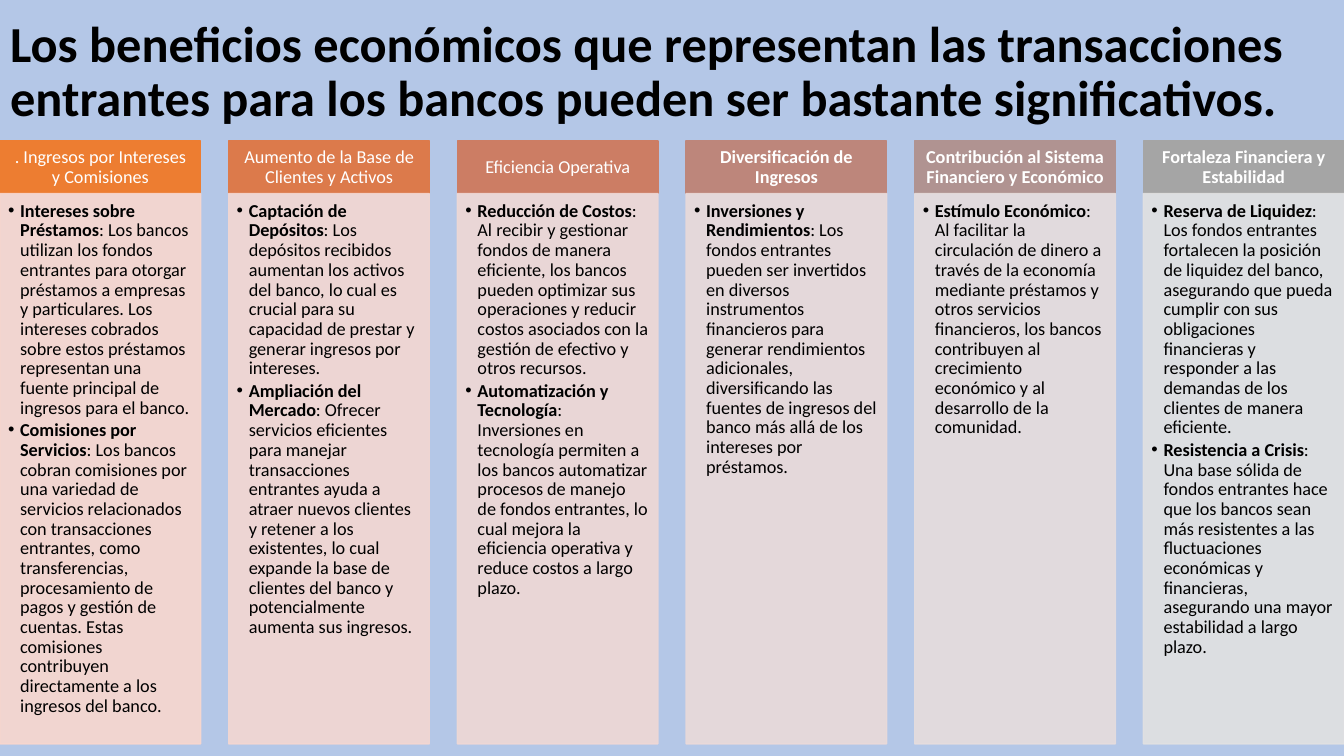
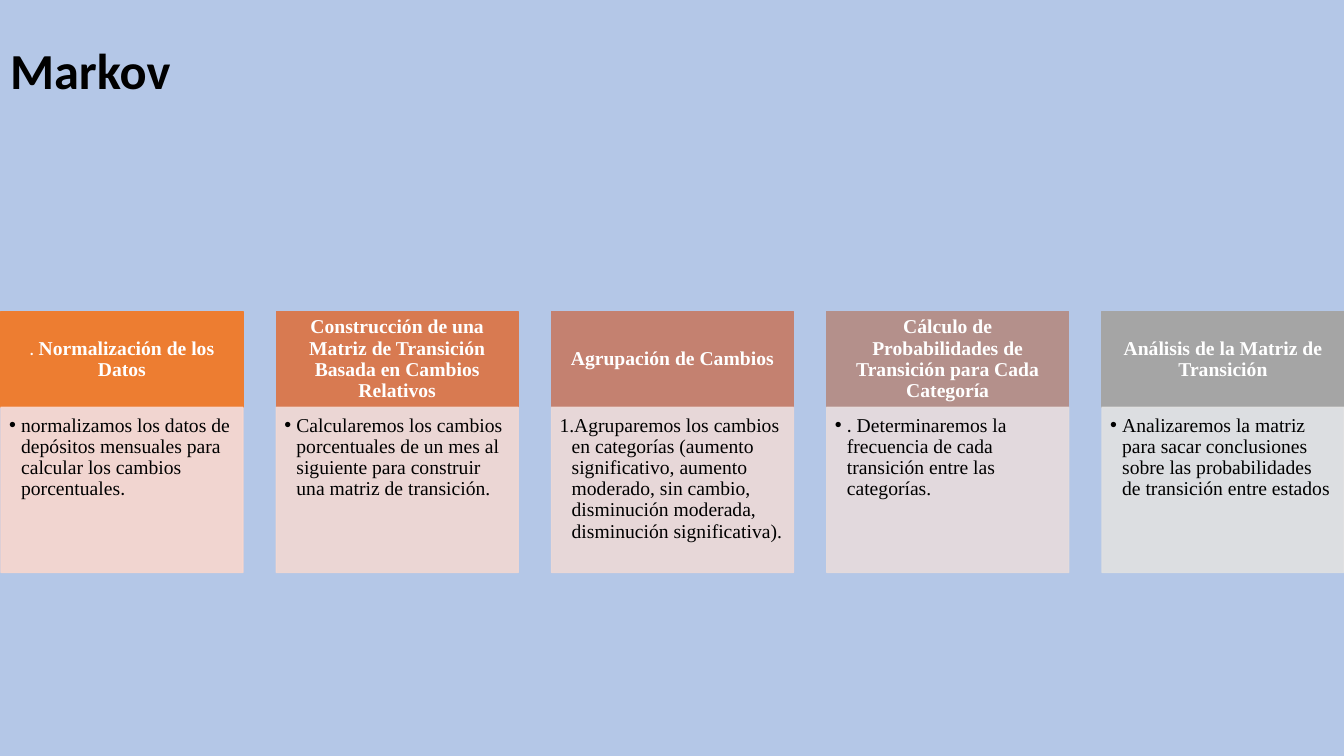
from dataclasses import dataclass

from lxml.etree import SubElement
from pptx import Presentation
from pptx.dml.color import RGBColor
from pptx.enum.shapes import MSO_SHAPE
from pptx.enum.text import MSO_ANCHOR, MSO_AUTO_SIZE, PP_ALIGN
from pptx.oxml.ns import qn
from pptx.util import Inches, Pt

SLIDE_WIDTH, SLIDE_HEIGHT = 13.33, 7.5
TITLE_ONLY = 5
SANS, SERIF = "Calibri", "Times New Roman"


@dataclass(frozen=True)
class Theme:
    background: str = "B4C7E7"
    dark: str = "000000"
    light: str = "FFFFFF"
    title_size: int = 36
    panel_opacity: int = 90
    line_spacing: float = 0.9
    paragraph_gap: int = 2
    bullet_indent: float = 0.12


@dataclass(frozen=True)
class Span:
    text: str
    bold: bool = False
    font: str = SANS


@dataclass(frozen=True)
class Column:
    header_color: str
    panel_color: str
    header: list
    items: list
    numbered: bool = False


@dataclass(frozen=True)
class Grid:
    """Equal columns spread from the left margin to the right edge."""
    left: float
    top: float
    column_width: float
    header_height: float
    panel_height: float
    text_size: int
    header_insets: tuple
    panel_insets: tuple

    def column_left(self, index, count):
        pitch = (SLIDE_WIDTH - self.left - self.column_width) / (count - 1)
        return self.left + index * pitch


class Deck:
    def __init__(self, theme):
        self.theme = theme
        self.slide = None
        self.presentation = Presentation()
        self.presentation.slide_width = Inches(SLIDE_WIDTH)
        self.presentation.slide_height = Inches(SLIDE_HEIGHT)
        fill = self.presentation.slide_master.background.fill
        fill.solid()
        fill.fore_color.rgb = RGBColor.from_string(theme.background)

    def add_slide(self, title):
        layout = self.presentation.slide_layouts[TITLE_ONLY]
        self.slide = self.presentation.slides.add_slide(layout)
        placeholder = self.slide.shapes.title
        placeholder.left = placeholder.top = 0
        placeholder.width, placeholder.height = Inches(SLIDE_WIDTH), Inches(1.45)
        frame = placeholder.text_frame
        frame.auto_size = MSO_AUTO_SIZE.NONE
        frame.vertical_anchor = MSO_ANCHOR.MIDDLE
        self.add_spans(frame.paragraphs[0], [Span(title, True)],
                       self.theme.title_size, self.theme.dark)

    def add_spans(self, paragraph, spans, size, color, align=PP_ALIGN.LEFT):
        paragraph.alignment = align
        paragraph.line_spacing = self.theme.line_spacing
        for span in spans:
            run = paragraph.add_run()
            run.text = span.text
            run.font.name = span.font
            run.font.size = Pt(size)
            run.font.bold = span.bold
            run.font.color.rgb = RGBColor.from_string(color)

    def box(self, left, top, width, height, color, insets, anchor, opacity=100):
        shape = self.slide.shapes.add_shape(
            MSO_SHAPE.RECTANGLE, *map(Inches, (left, top, width, height)))
        shape.shadow.inherit = False
        shape.fill.solid()
        shape.line.width = Pt(1)
        for paint in (shape.fill.fore_color, shape.line.color):
            paint.rgb = RGBColor.from_string(color)
        if opacity < 100:
            for paint in list(shape._element.spPr.iter(qn("a:srgbClr"))):
                SubElement(paint, qn("a:alpha"), val=str(opacity * 1000))
        frame = shape.text_frame
        frame.word_wrap = True
        frame.vertical_anchor = anchor
        (frame.margin_left, frame.margin_top,
         frame.margin_right, frame.margin_bottom) = map(Inches, insets)
        return frame

    def bullet(self, paragraph, numbered):
        paragraph.space_after = Pt(self.theme.paragraph_gap)
        properties = paragraph._p.get_or_add_pPr()
        indent = Inches(self.theme.bullet_indent)
        properties.set("marL", str(indent))
        properties.set("indent", str(-indent))
        if numbered:
            SubElement(properties, qn("a:buAutoNum"), type="arabicPeriod")
        else:
            SubElement(properties, qn("a:buFont"), typeface="Arial")
            SubElement(properties, qn("a:buChar"), char="•")

    def columns(self, grid, columns):
        for index, column in enumerate(columns):
            left = grid.column_left(index, len(columns))
            # Header band
            header = self.box(left, grid.top, grid.column_width, grid.header_height,
                              column.header_color, grid.header_insets,
                              MSO_ANCHOR.MIDDLE)
            self.add_spans(header.paragraphs[0], column.header, grid.text_size,
                           self.theme.light, PP_ALIGN.CENTER)
            # Panel with its list
            panel = self.box(left, grid.top + grid.header_height,
                             grid.column_width, grid.panel_height,
                             column.panel_color, grid.panel_insets,
                             MSO_ANCHOR.TOP, self.theme.panel_opacity)
            for position, spans in enumerate(column.items):
                paragraph = panel.add_paragraph() if position else panel.paragraphs[0]
                self.add_spans(paragraph, spans, grid.text_size, self.theme.dark)
                self.bullet(paragraph, column.numbered)


def labelled(label, text):
    return [Span(label, True), Span(": " + text)]


def serif(text, bold=False):
    return Span(text, bold, SERIF)


BENEFITS_GRID = Grid(0, 1.4, 1.99, 0.52, 5.46, 13,
                     (0.1, 0.06, 0.1, 0.06), (0.08, 0.08, 0.1, 0.11))
MARKOV_GRID = Grid(0.01, 3.09, 2.4, 0.95, 1.64, 14,
                   (0.11, 0.06, 0.11, 0.06), (0.08, 0.08, 0.11, 0.12))

BENEFITS = [
    Column("ED7D31", "F8D7CE", [Span(". Ingresos por Intereses y Comisiones")], [
        labelled("Intereses sobre Préstamos",
                 "Los bancos utilizan los fondos entrantes para otorgar préstamos a "
                 "empresas y particulares. Los intereses cobrados sobre estos préstamos "
                 "representan una fuente principal de ingresos para el banco."),
        labelled("Comisiones por Servicios",
                 "Los bancos cobran comisiones por una variedad de servicios "
                 "relacionados con transacciones entrantes, como transferencias, "
                 "procesamiento de pagos y gestión de cuentas. Estas comisiones "
                 "contribuyen directamente a los ingresos del banco.")]),
    Column("DC7A4B", "F4D7D1", [Span("Aumento de la Base de Clientes y Activos")], [
        labelled("Captación de Depósitos",
                 "Los depósitos recibidos aumentan los activos del banco, lo cual es "
                 "crucial para su capacidad de prestar y generar ingresos por intereses."),
        labelled("Ampliación del Mercado",
                 "Ofrecer servicios eficientes para manejar transacciones entrantes "
                 "ayuda a atraer nuevos clientes y retener a los existentes, lo cual "
                 "expande la base de clientes del banco y potencialmente aumenta sus "
                 "ingresos.")]),
    Column("CC7D64", "EFD8D5", [Span("Eficiencia Operativa")], [
        labelled("Reducción de Costos",
                 "Al recibir y gestionar fondos de manera eficiente, los bancos pueden "
                 "optimizar sus operaciones y reducir costos asociados con la gestión "
                 "de efectivo y otros recursos."),
        labelled("Automatización y Tecnología",
                 "Inversiones en tecnología permiten a los bancos automatizar procesos "
                 "de manejo de fondos entrantes, lo cual mejora la eficiencia operativa "
                 "y reduce costos a largo plazo.")]),
    Column("BD867B", "EADAD9", [Span("Diversificación de Ingresos", True)], [
        labelled("Inversiones y Rendimientos",
                 "Los fondos entrantes pueden ser invertidos en diversos instrumentos "
                 "financieros para generar rendimientos adicionales, diversificando las "
                 "fuentes de ingresos del banco más allá de los intereses por "
                 "préstamos.")]),
    Column("B09391", "E6DDDD",
           [Span("Contribución al Sistema Financiero y Económico", True)], [
        labelled("Estímulo Económico",
                 "Al facilitar la circulación de dinero a través de la economía mediante "
                 "préstamos y otros servicios financieros, los bancos contribuyen al "
                 "crecimiento económico y al desarrollo de la comunidad.")]),
    Column("A5A5A5", "E1E1E1", [Span("Fortaleza Financiera y Estabilidad", True)], [
        labelled("Reserva de Liquidez",
                 "Los fondos entrantes fortalecen la posición de liquidez del banco, "
                 "asegurando que pueda cumplir con sus obligaciones financieras y "
                 "responder a las demandas de los clientes de manera eficiente."),
        labelled("Resistencia a Crisis",
                 "Una base sólida de fondos entrantes hace que los bancos sean más "
                 "resistentes a las fluctuaciones económicas y financieras, asegurando "
                 "una mayor estabilidad a largo plazo.")]),
]

MARKOV_STEPS = [
    Column("ED7D31", "F8D7CE", [Span(". "), serif("Normalización de los Datos", True)],
           [[serif("normalizamos los datos de depósitos mensuales para calcular los "
                   "cambios porcentuales"), Span(".")]]),
    Column("D87A51", "F2D8D2",
           [serif("Construcción de una Matriz de Transición Basada en Cambios "
                  "Relativos", True)],
           [[serif("Calcularemos los cambios porcentuales de un mes al siguiente para "
                   "construir una matriz de transición.")]]),
    Column("C48170", "EDD9D7", [serif("Agrupación de Cambios", True)],
           [[serif("Agruparemos los cambios en categorías (aumento significativo, "
                   "aumento moderado, sin cambio, disminución moderada, disminución "
                   "significativa).")]], numbered=True),
    Column("B4908B", "E7DCDC",
           [serif("Cálculo de Probabilidades de Transición para Cada Categoría", True)],
           [[Span("."), serif(" Determinaremos la frecuencia de cada transición entre "
                              "las categorías.")]]),
    Column("A5A5A5", "E1E1E1", [serif("Análisis de la Matriz de Transición", True)],
           [[serif("Analizaremos la matriz para sacar conclusiones sobre las "
                   "probabilidades de transición entre estados")]]),
]


def main():
    deck = Deck(Theme())

    # Economic benefits
    deck.add_slide("Los beneficios económicos que representan las transacciones "
                   "entrantes para los bancos pueden ser bastante significativos.")
    deck.columns(BENEFITS_GRID, BENEFITS)

    # Markov steps
    deck.add_slide("Markov")
    deck.columns(MARKOV_GRID, MARKOV_STEPS)

    deck.presentation.save("out.pptx")


if __name__ == "__main__":
    main()
